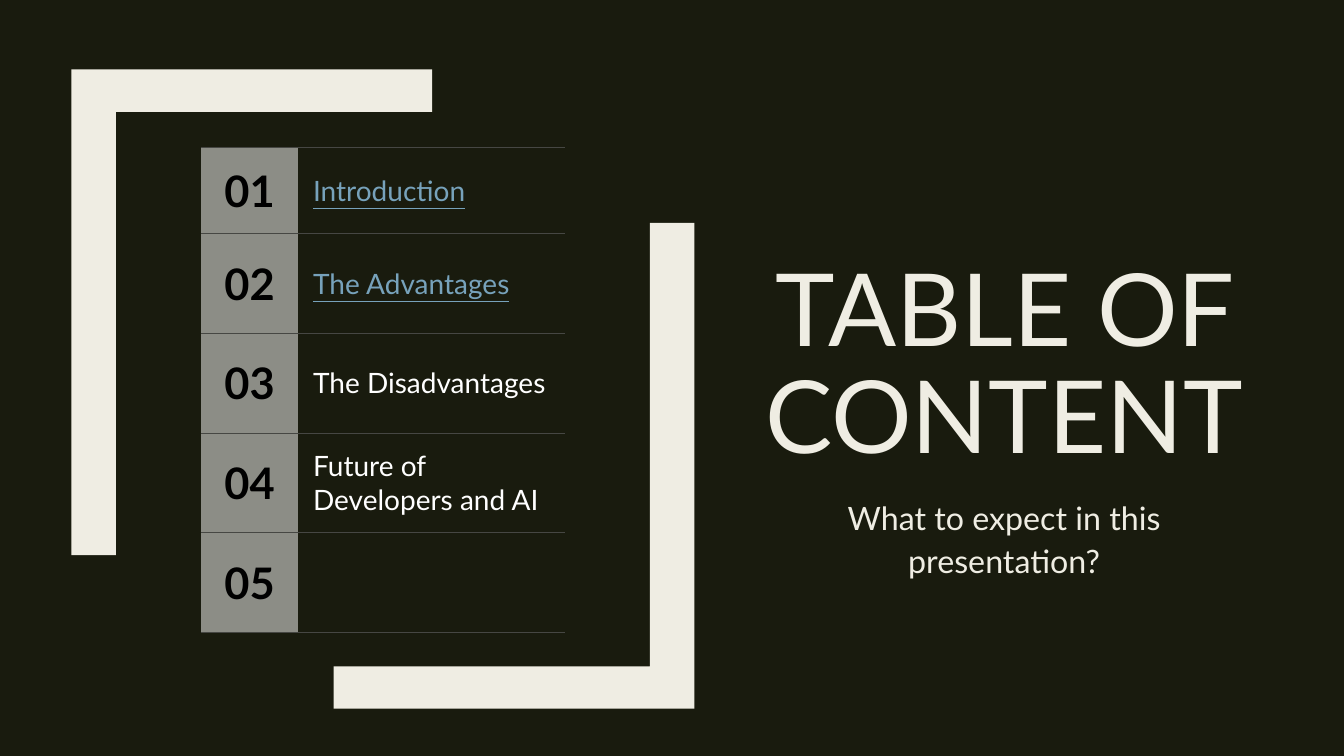
from lxml.etree import SubElement
from pptx import Presentation
from pptx.dml.color import RGBColor
from pptx.enum.text import MSO_ANCHOR as Anchor, MSO_AUTO_SIZE as AutoSize, PP_ALIGN as Align
from pptx.oxml.ns import qn
from pptx.util import Cm, Pt

TITLE = "TABLE OF CONTENT"
SUBTITLE = "What to expect in this presentation?"
# (text, looks like a link)
TOPICS = [
    ("Introduction", True),
    ("The Advantages", True),
    ("The Disadvantages", False),
    ("Future of Developers and AI", False),
    ("", False),
]

FONT = "Lato"
COLORS = {
    "background": "191B0E",
    "cream": "EFEDE3",
    "number_fill": "8C8D86",
    "rule": "464743",
    "number": "000000",
    "topic": "FFFFFF",
    "link": "77A2BB",
}

# Lengths in cm
SLIDE_SIZE = (33.87, 19.05)
TITLE_BOX = (18.64, 1.75, 13.34, 10.36)
SUBTITLE_BOX = (18.64, 12.32, 13.34, 4.98)
BRACKET_SIZE = (9.09, 12.24)
BRACKET_THICKNESS = (1.12, 1.07)
BRACKET_CORNERS = [(17.5, 17.86, -1), (1.8, 1.75, 1)]  # x, y, direction of the arms
TABLE_AT = (5.06, 3.72)
COLUMN_WIDTHS = (2.46, 6.73)
FIRST_ROW, OTHER_ROWS = 2.17, 2.51
CELL_MARGIN = 0.37


def rgb(name):
    return RGBColor.from_string(COLORS[name])


def write(tf, text, size, color, align=Align.LEFT, spacing=None, bold=False, underline=False):
    tf.text = text
    p = tf.paragraphs[0]
    p.alignment = align
    p.line_spacing = spacing
    for r in p.runs:
        r.font.name = FONT
        r.font.size = Pt(size)
        r.font.bold = bold
        r.font.underline = underline
        r.font.color.rgb = rgb(color)


def add_bracket(s, x, y, direction):
    """Draw an L whose outer corner is at x, y; direction -1 turns it half around."""
    w, h = BRACKET_SIZE
    tx, ty = BRACKET_THICKNESS
    outline = [(0, 0), (w, 0), (w, ty), (tx, ty), (tx, h), (0, h)]
    points = [(Cm(x + direction * dx), Cm(y + direction * dy)) for dx, dy in outline]
    builder = s.shapes.build_freeform(*points[0])
    builder.add_line_segments(points[1:], close=True)
    sp = builder.convert_to_shape()
    sp.shadow.inherit = False
    sp.fill.solid()
    sp.fill.fore_color.rgb = rgb("cream")
    sp.line.fill.background()


def set_borders(cell):
    """Rule the cell above and below only."""
    tc_pr = cell._tc.get_or_add_tcPr()
    for side in "LRTB":
        ln = SubElement(tc_pr, qn(f"a:ln{side}"), w=str(Pt(0.5)))
        if side in "LR":
            SubElement(ln, qn("a:noFill"))
        else:
            fill = SubElement(ln, qn("a:solidFill"))
            SubElement(fill, qn("a:srgbClr"), val=COLORS["rule"])


def add_topics(s):
    heights = [FIRST_ROW] + [OTHER_ROWS] * (len(TOPICS) - 1)
    frame = s.shapes.add_table(len(TOPICS), 2, *map(Cm, TABLE_AT),
                               Cm(sum(COLUMN_WIDTHS)), Cm(sum(heights)))
    table = frame.table
    table.first_row = table.horz_banding = False
    for column, width in zip(table.columns, COLUMN_WIDTHS):
        column.width = Cm(width)
    for i, (topic, is_link) in enumerate(TOPICS):
        table.rows[i].height = Cm(heights[i])
        number_cell, topic_cell = table.rows[i].cells
        for cell in (number_cell, topic_cell):
            set_borders(cell)
            cell.vertical_anchor = Anchor.MIDDLE
            cell.margin_left = cell.margin_right = Cm(CELL_MARGIN)
            cell.margin_top = cell.margin_bottom = Cm(CELL_MARGIN)
        number_cell.fill.solid()
        number_cell.fill.fore_color.rgb = rgb("number_fill")
        topic_cell.fill.background()
        write(number_cell.text_frame, f"{i + 1:02}", 31, "number", Align.CENTER, bold=True)
        write(topic_cell.text_frame, topic, 20, "link" if is_link else "topic",
              underline=is_link)


def main():
    prs = Presentation()
    prs.slide_width, prs.slide_height = map(Cm, SLIDE_SIZE)
    s = prs.slides.add_slide(prs.slide_layouts[5])
    s.background.fill.solid()
    s.background.fill.fore_color.rgb = rgb("background")

    title = s.shapes.title
    title.left, title.top, title.width, title.height = map(Cm, TITLE_BOX)
    subtitle = s.shapes.add_textbox(*map(Cm, SUBTITLE_BOX))
    for sp, anchor in ((title, Anchor.BOTTOM), (subtitle, Anchor.TOP)):
        sp.text_frame.word_wrap = True
        sp.text_frame.auto_size = AutoSize.NONE
        sp.text_frame.vertical_anchor = anchor
    write(title.text_frame, TITLE, 72, "cream", Align.CENTER, 0.89)
    write(subtitle.text_frame, SUBTITLE, 23, "cream", Align.CENTER, 1.12)

    for corner in BRACKET_CORNERS:
        add_bracket(s, *corner)
    add_topics(s)
    prs.save("out.pptx")


if __name__ == "__main__":
    main()
